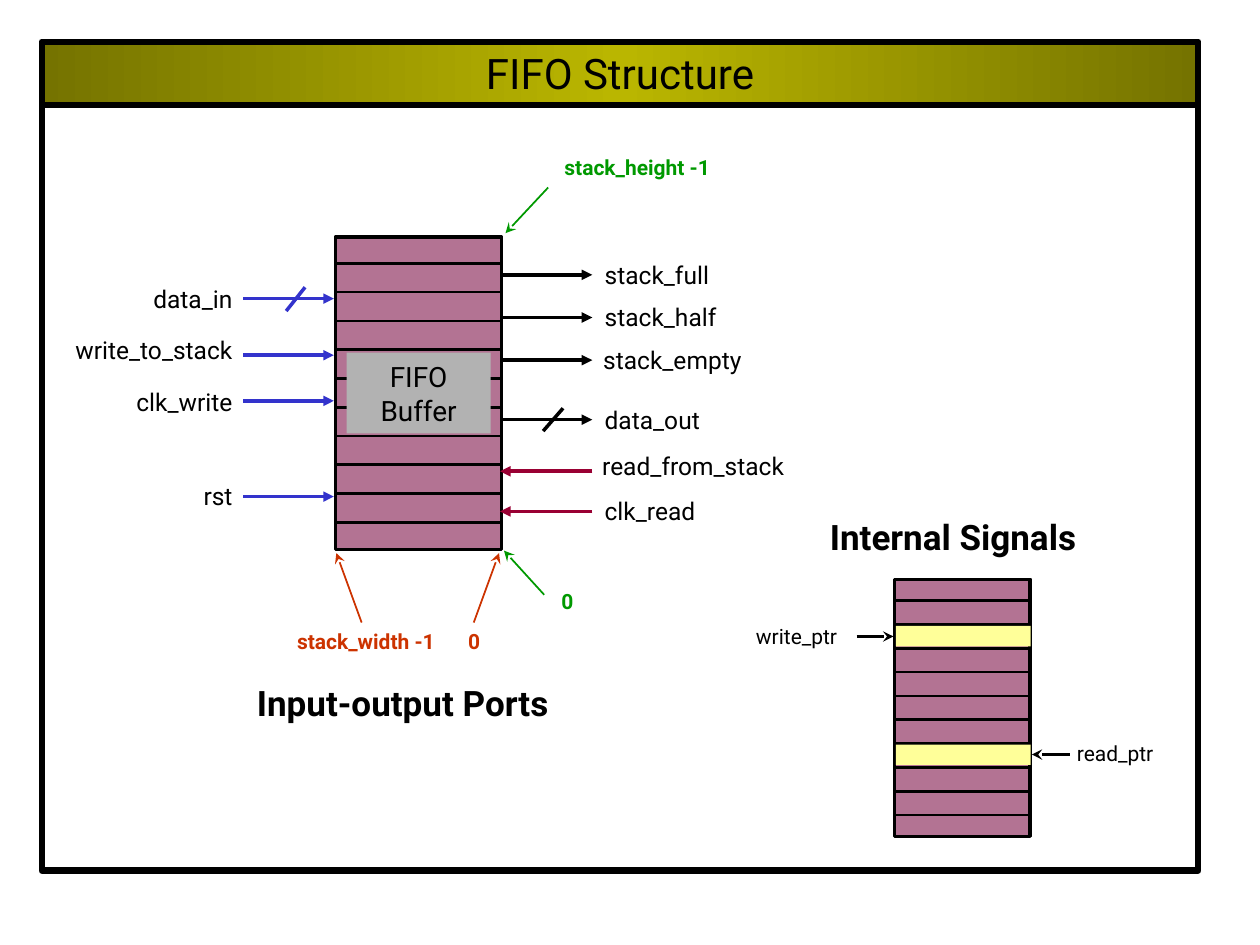
from copy import deepcopy

from lxml.etree import SubElement
from pptx import Presentation
from pptx.dml.color import RGBColor
from pptx.enum.shapes import MSO_CONNECTOR, MSO_SHAPE
from pptx.enum.text import MSO_ANCHOR, PP_ALIGN
from pptx.oxml.ns import qn
from pptx.util import Cm, Pt

BLACK, BLUE, RED, GREEN, ORANGE = "000000", "3333CC", "990033", "009900", "CC3300"
MAUVE, GREY, YELLOW = "B37393", "B2B2B2", "FFFF99"
color = RGBColor.from_string

deck = Presentation()
deck.slide_width, deck.slide_height = Cm(25.4), Cm(19.05)
slide = deck.slides.add_slide(deck.slide_layouts[6])


def draw_line(start, end, hue=BLACK, width=2, head=None):
    """Draw a line in centimetres, with an optional arrowhead at its end."""
    connector = slide.shapes.add_connector(
        MSO_CONNECTOR.STRAIGHT, *(Cm(value) for value in (*start, *end)))
    connector.line.color.rgb = color(hue)
    connector.line.width = Pt(width)
    if head:
        SubElement(connector.line._get_or_add_ln(), qn("a:tailEnd"), type=head)
    SubElement(connector._element.spPr, qn("a:effectLst"))


def write(frame, text, size, hue=BLACK, bold=False, align=PP_ALIGN.LEFT, wrap=False):
    frame.word_wrap = wrap
    paragraph = frame.paragraphs[0]
    paragraph.alignment = align
    run = paragraph.add_run()
    run.text = text
    style = {"name": "Roboto", "size": Pt(size), "bold": bold}
    for attribute, value in style.items():
        setattr(run.font, attribute, value)
    run.font.color.rgb = color(hue)


# Frame, title bar, the two stacks with their dividers, and the boxes on them
boxes = [
    # left, top, width, height, fill, line width, text, text size, first divider, step
    (0.84, 2.11, 23.32, 15.44, None, 3.5, None, 0, None, 0),
    (0.84, 0.84, 23.32, 1.27, "gradient", 3.5, "FIFO Structure", 24, None, 0),
    (6.76, 4.78, 3.35, 6.3, MAUVE, 2, None, 0, 5.31, 0.58),
    (6.99, 7.11, 2.9, 1.63, GREY, 0, "FIFO Buffer", 16, None, 0),
    (18.03, 11.68, 2.74, 5.18, MAUVE, 2, None, 0, 12.11, 0.48),
    (18.06, 12.62, 2.72, 0.41, YELLOW, 0, None, 0, None, 0),
    (18.06, 15.01, 2.72, 0.41, YELLOW, 0, None, 0, None, 0),
]
for left, top, width, height, fill, border, text, size, divider, step in boxes:
    box = slide.shapes.add_shape(
        MSO_SHAPE.RECTANGLE, Cm(left), Cm(top), Cm(width), Cm(height))
    box.shadow.inherit = False
    if fill is None:
        box.fill.background()
    elif fill == "gradient":
        box.fill.gradient()
        box.fill.gradient_angle = 0
        first_stop = box.fill.gradient_stops[0]._gs
        first_stop.addnext(deepcopy(first_stop))
        for stop, place, hue in zip(
                box.fill.gradient_stops, (0, 0.5, 1), ("757300", "BAB600", "757300")):
            stop.position = place
            stop.color.rgb = color(hue)
    else:
        box.fill.solid()
        box.fill.fore_color.rgb = color(fill)
    if border:
        box.line.color.rgb = color(BLACK)
        box.line.width = Pt(border)
    else:
        box.line.fill.background()
    if text:
        box.text_frame.vertical_anchor = MSO_ANCHOR.MIDDLE
        write(box.text_frame, text, size, align=PP_ALIGN.CENTER, wrap=True)
    if divider:
        for row in range(10):
            y = divider + row * step
            draw_line((left + 0.02, y), (left + 0.02 + width, y), width=1.5)

# Port arrows
for y in (6.02, 7.16, 8.08, 10.01):
    draw_line((4.9, y), (6.73, y), BLUE, head="triangle")
for y in (5.54, 6.4, 7.26, 8.46):
    draw_line((10.08, y), (11.94, y), head="triangle")
for y in (9.5, 10.31):
    draw_line((11.94, y), (10.08, y), RED, head="triangle")

# Bus slashes
draw_line((6.15, 5.79), (5.77, 6.27), BLUE)
draw_line((11.35, 8.23), (10.95, 8.69))

# Arrows to the buffer corners and to the pointed rows
for start, end, hue, width in [
    ((7.29, 12.55), (6.78, 11.15), ORANGE, 1),
    ((9.55, 12.55), (10.06, 11.15), ORANGE, 1),
    ((11.05, 3.78), (10.19, 4.7), GREEN, 1),
    ((10.97, 11.99), (10.16, 11.1), GREEN, 1),
    ((17.27, 12.83), (18.01, 12.83), BLACK, 2),
    ((21.56, 15.21), (20.8, 15.21), BLACK, 2),
]:
    draw_line(start, end, hue, width, "stealth")

# Labels: input ports end at one edge, the others start at their left
INPUT_EDGE = 4.94
labels = [
    # text, left, top, width, size, colour, bold
    ("data_in", None, 5.61, 2.18, 14, BLACK, False),
    ("write_to_stack", None, 6.63, 3.78, 14, BLACK, False),
    ("clk_write", None, 7.67, 2.54, 14, BLACK, False),
    ("rst", None, 9.58, 1.12, 14, BLACK, False),
    ("stack_full", 11.94, 5.11, 2.64, 14, BLACK, False),
    ("stack_half", 11.94, 5.97, 2.79, 14, BLACK, False),
    ("stack_empty", 11.91, 6.83, 3.4, 14, BLACK, False),
    ("data_out", 11.94, 8.05, 2.54, 14, BLACK, False),
    ("read_from_stack", 11.89, 8.97, 4.34, 14, BLACK, False),
    ("clk_read", 11.94, 9.88, 2.41, 14, BLACK, False),
    ("stack_width -1", 5.74, 12.55, 3.51, 12, ORANGE, True),
    ("0", 9.19, 12.55, 0.74, 12, ORANGE, True),
    ("stack_height -1", 11.13, 3, 3.68, 12, GREEN, True),
    ("0", 11.07, 11.73, 0.74, 12, GREEN, True),
    ("write_ptr", 14.99, 12.45, 2.29, 12, BLACK, False),
    ("read_ptr", 21.46, 14.81, 2.18, 12, BLACK, False),
    ("Input-output Ports", 4.93, 13.61, 7.16, 20, BLACK, True),
    ("Internal Signals", 16.48, 10.26, 6.1, 20, BLACK, True),
]
heights = {12: 0.76, 14: 0.86, 20: 1.12}
for text, left, top, width, size, hue, bold in labels:
    align = PP_ALIGN.LEFT
    if left is None:
        left, align = INPUT_EDGE - width, PP_ALIGN.RIGHT
    label = slide.shapes.add_textbox(Cm(left), Cm(top), Cm(width), Cm(heights[size]))
    write(label.text_frame, text, size, hue, bold, align)

deck.save("out.pptx")
